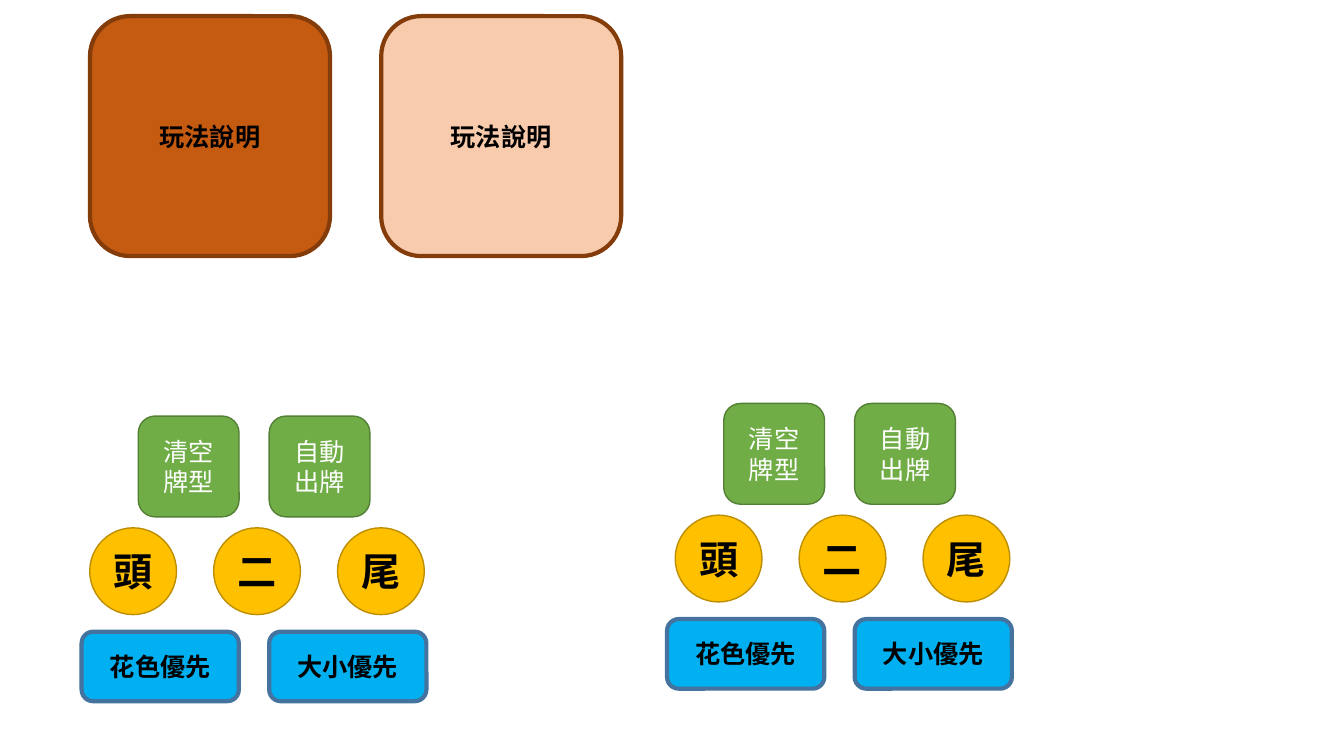
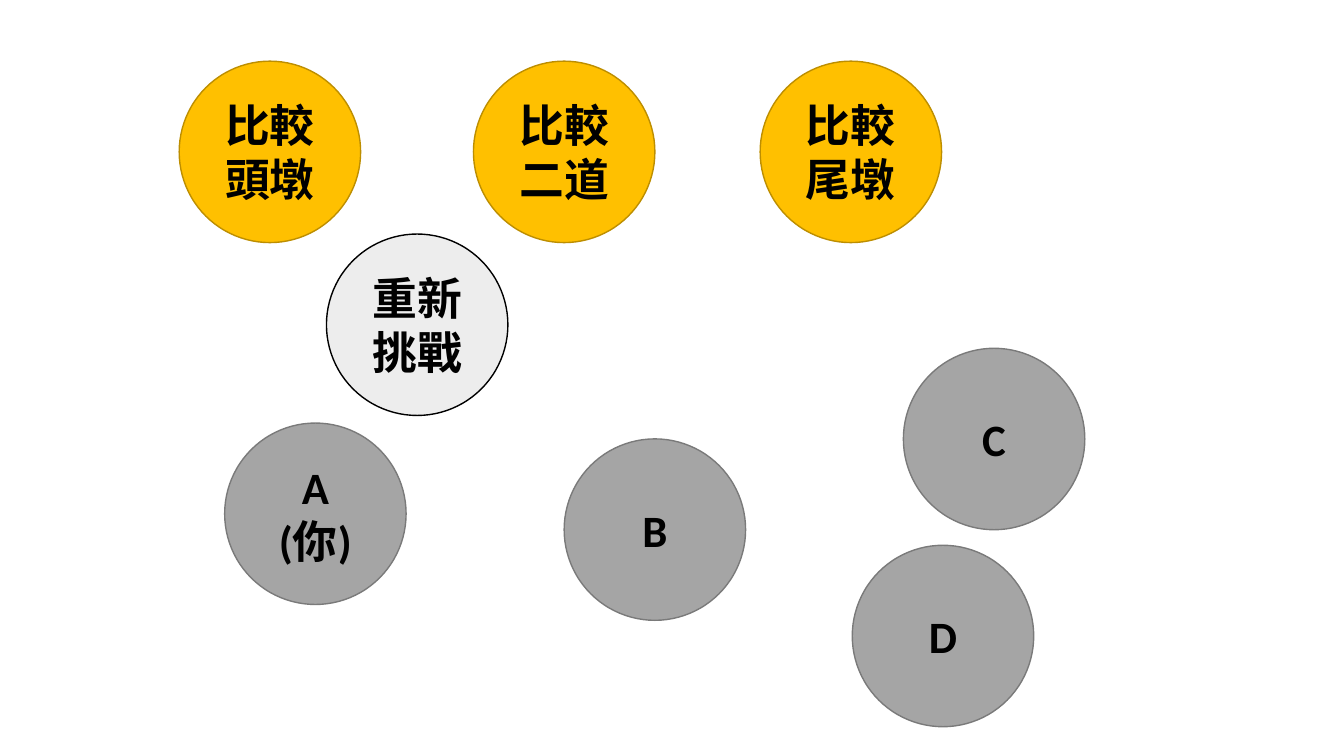
import pptx
import pptx.util
import pptx.dml.color
import pptx.enum.shapes
import pptx.enum.text

Pt = pptx.util.Pt
RGB = pptx.dml.color.RGBColor.from_string
ROUNDED = pptx.enum.shapes.MSO_SHAPE.ROUNDED_RECTANGLE
CIRCLE = pptx.enum.shapes.MSO_SHAPE.OVAL

COLORS = {
    "brown": "C55A11", "brown edge": "843C0B", "peach": "F8CBAD",
    "blue": "00B0F0", "blue edge": "43739E",
    "gold": "FFC000", "gold edge": "BD8E00",
    "green": "70AD47", "green edge": "538035",
    "gray": "A5A5A5", "gray edge": "7A7A7A", "pale": "EDEDED",
    "black": "000000", "white": "FFFFFF",
}

# outline, width, height, fill, edge, edge width, text size, text colour, bold
STYLES = {
    "rules": (ROUNDED, 171.4, 171.4, "brown", "brown edge", 3, 18, "black", True),
    "rules light": (ROUNDED, 171.4, 171.4, "peach", "brown edge", 3, 18, "black", True),
    "priority": (ROUNDED, 112.3, 49.7, "blue", "blue edge", 3, 18, "black", True),
    "pile": (CIRCLE, 62, 62, "gold", "gold edge", 1, 28, "black", True),
    "action": (ROUNDED, 72, 72, "green", "green edge", 1, 18, "white", False),
    "compare": (CIRCLE, 129.6, 129.6, "gold", "gold edge", 1, 32, "black", True),
    "player": (CIRCLE, 129.6, 129.6, "gray", "gray edge", 1, 32, "black", True),
    "retry": (CIRCLE, 129.6, 129.6, "pale", "black", 1, 32, "black", True),
}


def add_button(shapes, style, label, left, top):
    """Add a labelled game button in one of the shared styles."""
    outline, width, height, fill, edge, edge_width, size, ink, bold = STYLES[style]
    button = shapes.add_shape(outline, Pt(left), Pt(top), Pt(width), Pt(height))
    button.shadow.inherit = False
    button.fill.solid()
    button.fill.fore_color.rgb = RGB(COLORS[fill])
    button.line.color.rgb = RGB(COLORS[edge])
    button.line.width = Pt(edge_width)
    frame = button.text_frame
    frame.text = label
    frame.word_wrap = True
    frame.vertical_anchor = pptx.enum.text.MSO_ANCHOR.MIDDLE
    for paragraph in frame.paragraphs:
        paragraph.alignment = pptx.enum.text.PP_ALIGN.CENTER
        for run in paragraph.runs:
            run.font.name = "Calibri"
            run.font.size = Pt(size)
            run.font.bold = bold
            run.font.color.rgb = RGB(COLORS[ink])


deck = pptx.Presentation()
deck.slide_width, deck.slide_height = Pt(960), Pt(540)
blank = deck.slide_layouts[6]

# Slide 1: rule buttons and two control panels, the second one grouped
controls = deck.slides.add_slide(blank)
add_button(controls.shapes, "rules", "玩法說明", 64.3, 11.5)
add_button(controls.shapes, "rules light", "玩法說明", 272.3, 11.5)

# style, labels, left and top inside the panel, step between buttons
PANEL_ROWS = [
    ("priority", ["花色優先", "大小優先"], 0, 154, 134),
    ("pile", ["頭", "二", "尾"], 5.8, 79.8, 88.5),
    ("action", ["清空牌型", "自動出牌"], 40.5, 0, 93.5),
]
grouped_panel = controls.shapes.add_group_shape()
for shapes, panel_left, panel_top in [(controls.shapes, 58.3, 297.2),
                                      (grouped_panel.shapes, 476.5, 288.2)]:
    for style, labels, left, top, step in PANEL_ROWS:
        for column, label in enumerate(labels):
            add_button(shapes, style, label,
                       panel_left + left + column * step, panel_top + top)

# Slide 2: comparison, player and retry buttons
results = deck.slides.add_slide(blank)
for style, label, left, top in [
    ("compare", "比較\n頭墩", 128, 43.7),
    ("compare", "比較\n二道", 338.2, 43.7),
    ("compare", "比較\n尾墩", 543, 43.7),
    ("player", "A\n(你)", 160.5, 302.2),
    ("player", "B", 403, 313.5),
    ("player", "C", 645.3, 248.8),
    ("player", "D", 608.8, 389.5),
    ("retry", "重新挑戰", 233.2, 167.2),
]:
    add_button(results.shapes, style, label, left, top)

deck.save("out.pptx")
